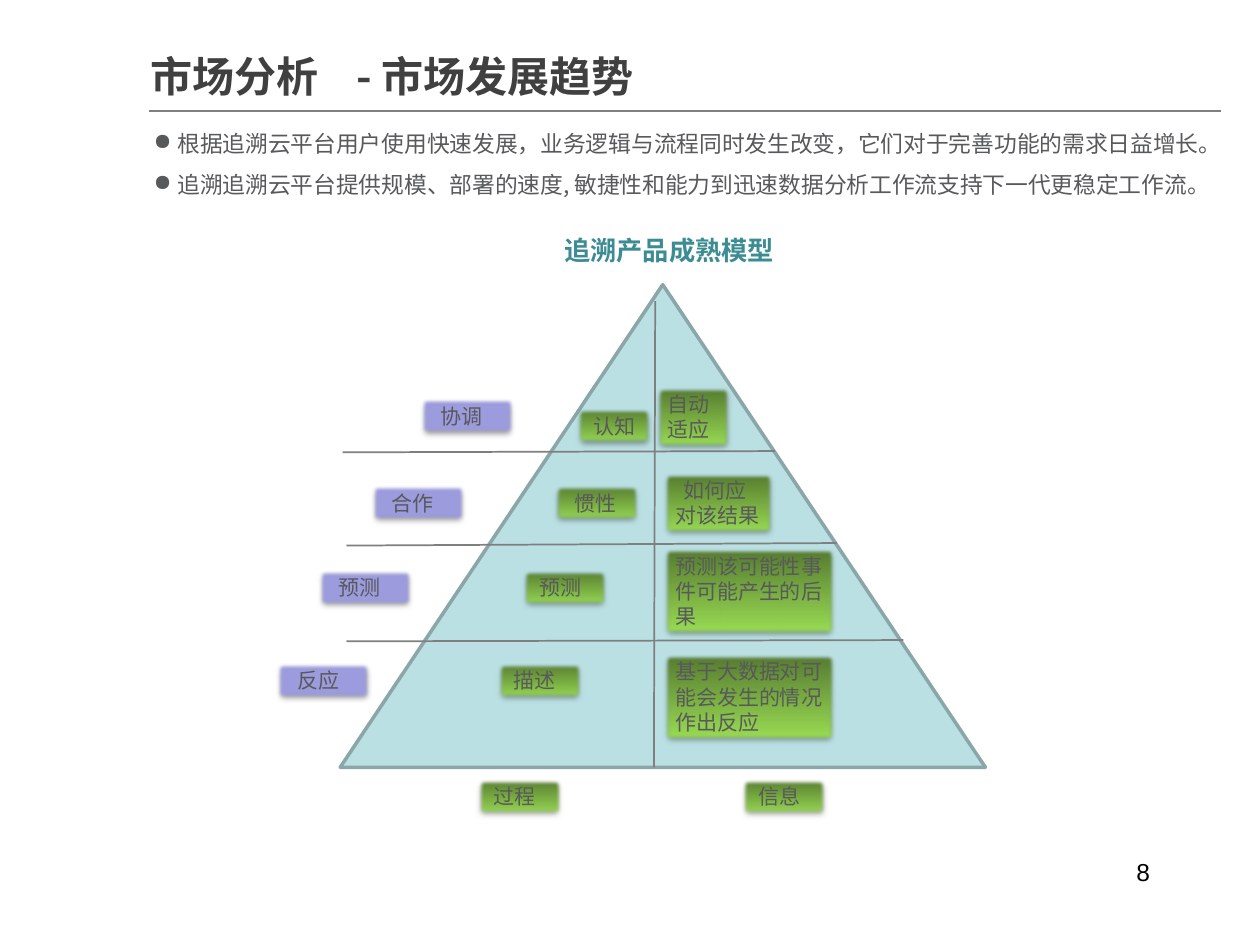
from lxml.etree import SubElement
from pptx import Presentation
from pptx.dml.color import RGBColor
from pptx.enum.shapes import MSO_CONNECTOR, MSO_SHAPE
from pptx.enum.text import MSO_ANCHOR, PP_ALIGN
from pptx.oxml import parse_xml
from pptx.oxml.ns import nsdecls, qn
from pptx.util import Inches, Pt

FONT = "Noto Sans CJK SC"
BLACK = RGBColor(0x00, 0x00, 0x00)
TITLE = RGBColor(0x40, 0x40, 0x40)
BODY = RGBColor(0x58, 0x59, 0x5B)
TEAL = RGBColor(0x3C, 0x8C, 0x93)
RULE = RGBColor(0x7F, 0x7F, 0x7F)
PYRAMID = RGBColor(0xBB, 0xE0, 0xE3)
PYRAMID_EDGE = RGBColor(0x8A, 0xA6, 0xA8)
PURPLE = RGBColor(0x9C, 0x9C, 0xDF)
GREEN_LIGHT = RGBColor(0x9E, 0xE2, 0x56)
GREEN_DARK = RGBColor(0x52, 0x76, 0x2D)

LABEL_EFFECTS = f"""<a:effectLst {nsdecls('a')}>
  <a:outerShdw blurRad="39370" dist="20320" dir="5400000" rotWithShape="0">
    <a:srgbClr val="000000"><a:alpha val="38000"/></a:srgbClr>
  </a:outerShdw>
  <a:softEdge rad="31750"/>
</a:effectLst>"""


def write(sp, lines, size, color, bold=False, font=FONT, wrap=True):
    tf = sp.text_frame
    tf.word_wrap = wrap
    tf.vertical_anchor = MSO_ANCHOR.TOP
    for i, line in enumerate(lines):
        p = tf.paragraphs[0] if i == 0 else tf.add_paragraph()
        p.alignment = PP_ALIGN.LEFT
        r = p.add_run()
        r.text = line
        for name, value in {"size": Pt(size), "bold": bold, "name": font}.items():
            setattr(r.font, name, value)
        r.font.color.rgb = color
        SubElement(r.font._element, qn("a:ea")).set("typeface", font)
    return tf


def add_rule(x1, y1, x2, y2):
    line = s.shapes.add_connector(MSO_CONNECTOR.STRAIGHT, Inches(x1), Inches(y1),
                                  Inches(x2), Inches(y2))
    line.line.color.rgb = RULE
    line.line.width = Pt(1)
    SubElement(line._element.spPr, qn("a:effectLst"))


prs = Presentation()
prs.slide_width, prs.slide_height = Inches(10), Inches(7.5)
s = prs.slides.add_slide(prs.slide_layouts[6])

# Heading, bullets and page number
sp = s.shapes.add_textbox(Inches(8.92), Inches(6.75), Inches(0.58), Inches(0.52))
write(sp, ["8"], 14, BLACK, font="Arial")

add_rule(1.18, 0.88, 9.69, 0.88)

sp = s.shapes.add_textbox(Inches(1.1), Inches(0.35), Inches(6.34), Inches(0.53))
tf = write(sp, ["市场分析\t- 市场发展趋势"], 24, TITLE, bold=True)
tabs = SubElement(tf.paragraphs[0]._p.get_or_add_pPr(), qn("a:tabLst"))
tab = SubElement(tabs, qn("a:tab"))
tab.set("pos", str(Inches(1.63)))
tab.set("algn", "l")

sp = s.shapes.add_textbox(Inches(1.12), Inches(0.87), Inches(8.72), Inches(0.76))
tf = write(sp, [
    "根据追溯云平台用户使用快速发展，业务逻辑与流程同时发生改变，它们对于完善功能的需求日益增长。",
    "追溯追溯云平台提供规模、部署的速度, 敏捷性和能力到迅速数据分析工作流支持下一代更稳定工作流。",
], 13, BODY)
for p in tf.paragraphs:
    p.line_spacing = 1.5
    pPr = p._p.get_or_add_pPr()
    pPr.set("marL", str(Inches(0.19)))
    pPr.set("indent", str(-Inches(0.19)))
    SubElement(pPr, qn("a:buChar")).set("char", "●")

# Pyramid with its dividers
sp = s.shapes.add_shape(MSO_SHAPE.ISOSCELES_TRIANGLE, Inches(2.7), Inches(2.26),
                        Inches(5.12), Inches(3.83))
sp.shadow.inherit = False
sp.fill.solid()
sp.fill.fore_color.rgb = PYRAMID
sp.line.color.rgb = PYRAMID_EDGE
sp.line.width = Pt(2)

for ends in [(2.72, 3.59, 6.15, 3.58), (2.75, 4.33, 6.64, 4.31),
             (2.75, 5.09, 7.17, 5.08), (5.2, 2.39, 5.19, 6.09)]:
    add_rule(*ends)

sp = s.shapes.add_textbox(Inches(4.38), Inches(1.81), Inches(1.88), Inches(0.35))
write(sp, ["追溯产品成熟模型"], 15, TEAL, bold=True, wrap=False)

# Labels: text, left, top, width, height, first-line indent, purple or green
labels = [
    ("反应", 2.19, 5.25, 0.76, 0.31, 0.07, True),
    ("预测", 2.52, 4.51, 0.76, 0.31, 0.07, True),
    ("合作", 2.94, 3.84, 0.76, 0.31, 0.07, True),
    ("协调", 3.33, 3.15, 0.76, 0.31, 0.07, True),
    ("认知", 4.57, 3.23, 0.61, 0.31, 0.04, False),
    ("惯性", 4.39, 3.84, 0.69, 0.31, 0.07, False),
    ("预测", 4.14, 4.51, 0.69, 0.31, 0.04, False),
    ("描述", 3.94, 5.25, 0.69, 0.31, 0.04, False),
    ("过程", 3.78, 6.17, 0.69, 0.31, 0.04, False),
    ("自动适应", 5.2, 3.06, 0.61, 0.51, 0, False),
    ("如何应对该结果", 5.26, 3.74, 0.89, 0.51, 0.07, False),
    ("预测该可能性事件可能产生的后果", 5.26, 4.34, 1.38, 0.71, 0, False),
    ("基于大数据对可能会发生的情况作出反应", 5.26, 5.18, 1.38, 0.71, 0, False),
    ("信息", 5.88, 6.17, 0.69, 0.31, 0.04, False),
]
for text, x, y, w, h, indent, is_purple in labels:
    sp = s.shapes.add_shape(MSO_SHAPE.RECTANGLE, Inches(x), Inches(y), Inches(w), Inches(h))
    if is_purple:
        sp.fill.solid()
        sp.fill.fore_color.rgb = PURPLE
    else:
        sp.fill.gradient()
        sp.fill.gradient_angle = 90
        for stop, color in zip(sp.fill.gradient_stops, (GREEN_LIGHT, GREEN_DARK)):
            stop.color.rgb = color
    sp.line.fill.background()
    sp._element.spPr.append(parse_xml(LABEL_EFFECTS))
    tf = write(sp, [text], 12, BODY)
    tf.paragraphs[0]._p.get_or_add_pPr().set("indent", str(Inches(indent)))

prs.save("out.pptx")
